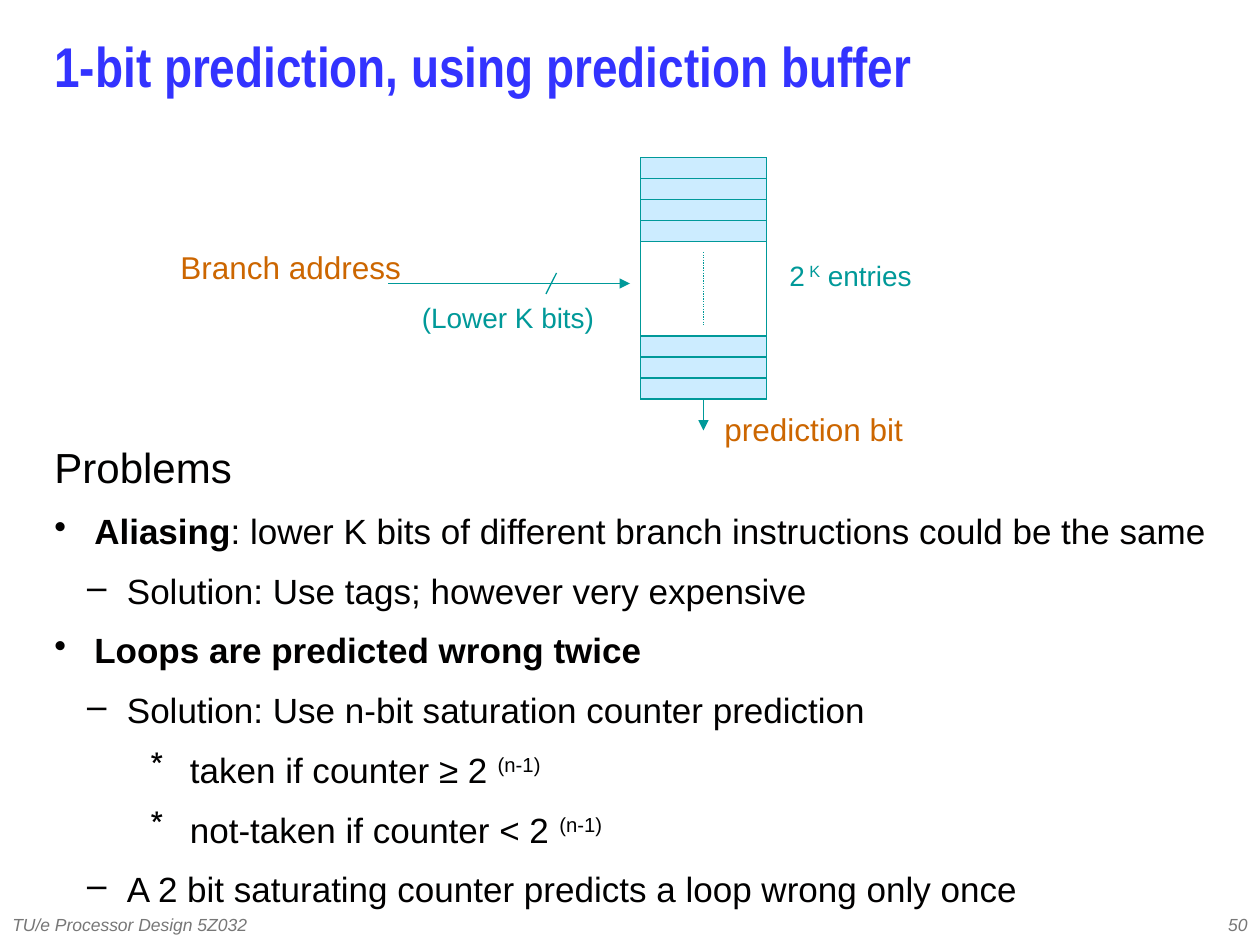
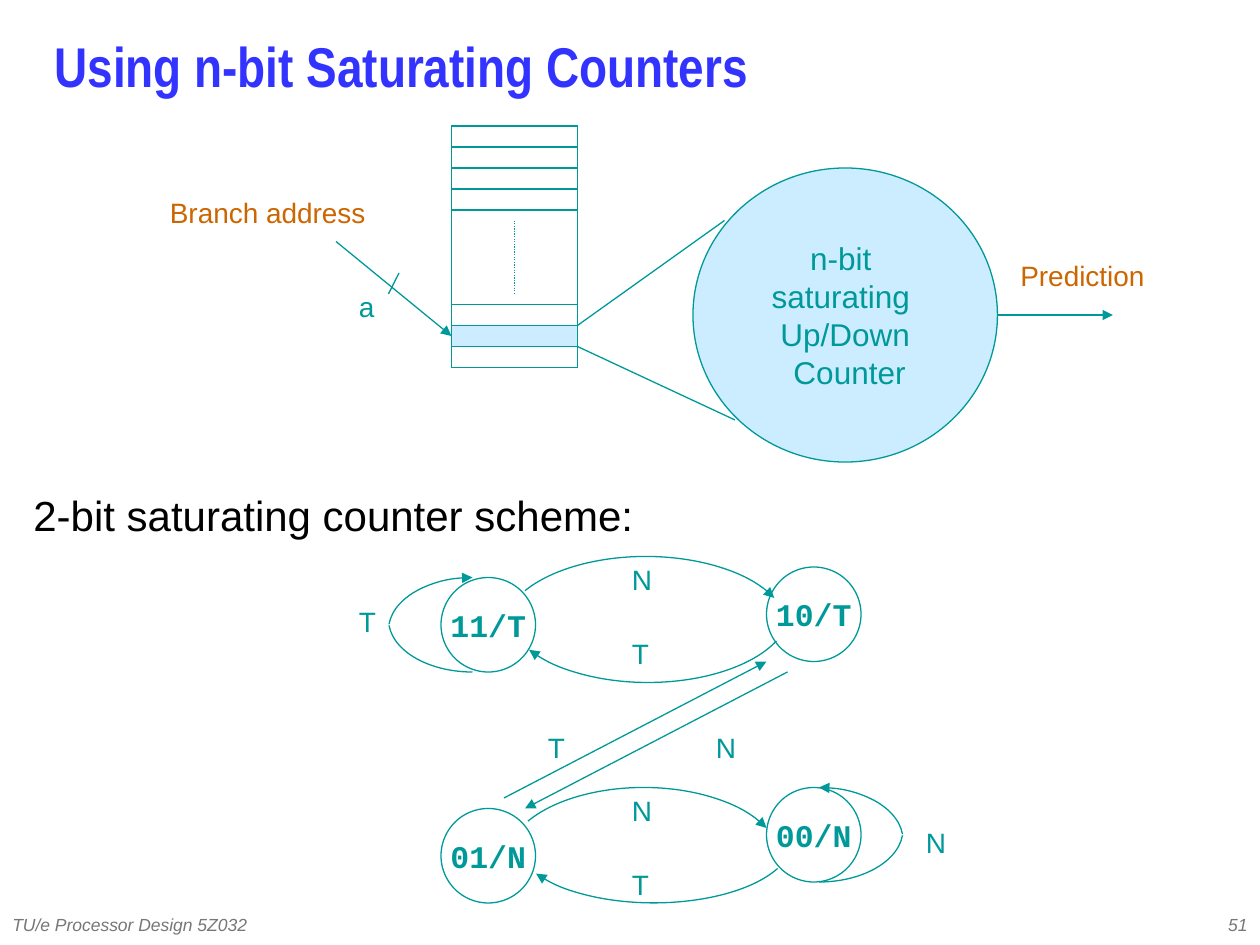
from dataclasses import dataclass
from typing import NamedTuple

import lxml.etree
import pptx
import pptx.dml.color
import pptx.enum.dml
import pptx.enum.shapes
import pptx.enum.text
import pptx.oxml.ns
import pptx.util

EMU_PER_PX = 7620  # 120 px to the inch

ALIGN = pptx.enum.text.PP_ALIGN
ANCHOR = pptx.enum.text.MSO_ANCHOR
SHAPE = pptx.enum.shapes.MSO_SHAPE


@dataclass(frozen=True)
class Theme:
    title: str = "3333FF"
    body: str = "010000"
    diagram: str = "009999"
    accent: str = "CC6600"
    pale: str = "CCECFF"
    footer: str = "777777"
    sans: str = "Arial"
    narrow: str = "Arial Narrow"
    mono: str = "Courier New"
    title_size: int = 32
    heading_size: int = 24
    bullet_size: int = 20
    label_size: int = 18
    small_size: int = 16
    footer_size: int = 10
    line_width: float = 0.75


THEME = Theme()


class Style(NamedTuple):
    size: int
    color: str
    font: str = THEME.sans
    bold: bool = False
    italic: bool = False


TITLE = Style(THEME.title_size, THEME.title, THEME.narrow, bold=True)
HEADING = Style(THEME.heading_size, THEME.body)
BULLET = Style(THEME.bullet_size, THEME.body)
FOOTER = Style(THEME.footer_size, THEME.footer, italic=True)
LABEL = Style(THEME.label_size, THEME.diagram)
SMALL = Style(THEME.small_size, THEME.diagram)
ACCENT_LABEL = Style(THEME.label_size, THEME.accent)
ACCENT_SMALL = Style(THEME.small_size, THEME.accent)
STATE = Style(THEME.label_size, THEME.diagram, THEME.mono, bold=True)


class Box(NamedTuple):
    left: int
    top: int
    width: int
    height: int


class Span(NamedTuple):
    text: str
    bold: bool = False
    raised: bool = False


class Item(NamedTuple):
    level: int
    spans: list[Span]


class Label(NamedTuple):
    text: str
    box: Box
    style: Style = SMALL


class Line(NamedTuple):
    start: tuple[int, int]
    end: tuple[int, int]
    arrow: str = ""  # "headEnd" at the start, "tailEnd" at the end
    dotted: bool = False


class Arc(NamedTuple):
    box: Box
    start_angle: int  # degrees, clockwise from the right
    end_angle: int
    arrow: str = ""


class Level(NamedTuple):
    mark: str
    indent: int


LEVELS = [Level("•", 38), Level("–", 69), Level("*", 129)]
HANG = 38


def px(value: int) -> int:
    return pptx.util.Emu(value * EMU_PER_PX)


def rgb(color: str) -> pptx.dml.color.RGBColor:
    return pptx.dml.color.RGBColor.from_string(color)


def add_child(parent, tag: str, **attributes: str):
    return lxml.etree.SubElement(parent, pptx.oxml.ns.qn(tag), attributes)


# Text

def write_spans(para, spans: list[Span], style: Style) -> None:
    para.text = spans[0].text
    for span in spans[1:]:
        para.add_run().text = span.text
    for run, span in zip(para.runs, spans):
        font = run.font
        font.name, font.size = style.font, pptx.util.Pt(style.size)
        font.bold, font.italic = style.bold or span.bold, style.italic
        font.color.rgb = rgb(style.color)
        if span.raised:
            run._r.get_or_add_rPr().set("baseline", "30000")


def add_text(page, box: Box, spans: list[Span], style: Style,
             anchor=ANCHOR.TOP, align=ALIGN.LEFT):
    frame = page.shapes.add_textbox(*map(px, box)).text_frame
    frame.word_wrap = True
    frame.vertical_anchor = anchor
    para = frame.paragraphs[0]
    write_spans(para, spans, style)
    para.alignment = align
    return frame


def add_labels(page, labels: list[Label]) -> None:
    for label in labels:
        add_text(page, label.box, [Span(label.text)], label.style)


def add_item(frame, item: Item) -> None:
    para = frame.add_paragraph()
    level = LEVELS[item.level]
    props = para._p.get_or_add_pPr()
    props.set("marL", str(px(level.indent)))
    props.set("indent", str(px(-HANG)))
    add_child(add_child(props, "a:buClr"), "a:srgbClr", val=THEME.body)
    add_child(props, "a:buChar", char=level.mark)
    para.level = item.level
    para.line_spacing = 0.9
    para.space_before = pptx.util.Pt(12.5)
    write_spans(para, item.spans, BULLET)


# Shapes and lines

def style_line(shape, arrow: str = "") -> None:
    shape.line.color.rgb = rgb(THEME.diagram)
    shape.line.width = pptx.util.Pt(THEME.line_width)
    if arrow:
        add_child(shape.line._get_or_add_ln(), f"a:{arrow}", type="triangle")


def add_outline(page, kind, box: Box, fill: str = "", arrow: str = ""):
    shape = page.shapes.add_shape(kind, *map(px, box))
    shape.shadow.inherit = False
    if fill:
        shape.fill.solid()
        shape.fill.fore_color.rgb = rgb(fill)
    else:
        shape.fill.background()
    style_line(shape, arrow)
    return shape


def add_circle(page, box: Box, text: str, style: Style, fill: str = "") -> None:
    frame = add_outline(page, SHAPE.OVAL, box, fill).text_frame
    frame.text = text
    frame.word_wrap = False
    frame.vertical_anchor = ANCHOR.MIDDLE
    for para in frame.paragraphs:
        write_spans(para, [Span(para.text)], style)
        para.alignment = ALIGN.CENTER


def add_arc(page, arc: Arc) -> None:
    shape = add_outline(page, SHAPE.ARC, arc.box, arrow=arc.arrow)
    for index, angle in enumerate((arc.start_angle, arc.end_angle)):
        shape.adjustments[index] = angle * 0.6  # 60000 units a degree, over 100000


def add_line(page, line: Line) -> None:
    connector = page.shapes.add_connector(
        pptx.enum.shapes.MSO_CONNECTOR.STRAIGHT, *map(px, line.start + line.end))
    if line.dotted:
        connector.line.dash_style = pptx.enum.dml.MSO_LINE.ROUND_DOT
    style_line(connector, line.arrow)
    add_child(connector._element.spPr, "a:effectLst")


def add_buffer(page, left: int, top: int, filled_rows: set[int]) -> None:
    width, row_height = 120, 20
    offsets = [row_height * row for row in range(4)]
    offsets += [170 + row_height * row for row in range(3)]
    for row, offset in enumerate(offsets):
        fill = THEME.pale if row in filled_rows else ""
        add_outline(page, SHAPE.RECTANGLE, Box(left, top + offset, width, row_height), fill)
    middle = left + width // 2
    add_line(page, Line((middle, top + 90), (middle, top + 160), dotted=True))
    add_outline(page, SHAPE.RECTANGLE, Box(left, top, width, 230))


# Slides

def add_page(deck, title: str, number: int):
    page = deck.slides.add_slide(deck.slide_layouts[6])
    frame = add_text(page, Box(40, 30, 1120, 80), [Span(title)], TITLE, ANCHOR.MIDDLE)
    frame.paragraphs[0].line_spacing = 0.7
    add_text(page, Box(0, 860, 250, 40), [Span("TU/e Processor Design 5Z032")],
             FOOTER, ANCHOR.MIDDLE)
    add_text(page, Box(950, 860, 250, 40), [Span(str(number))],
             FOOTER, ANCHOR.MIDDLE, ALIGN.RIGHT)
    return page


def build_prediction_buffer(deck) -> None:
    page = add_page(deck, "1-bit prediction, using prediction buffer", 50)
    frame = add_text(page, Box(40, 420, 1160, 454), [Span("Problems")], HEADING)
    frame.paragraphs[0].line_spacing = 0.9
    power = Span("(n-1)", raised=True)
    for item in [
        Item(0, [Span("Aliasing", bold=True),
                 Span(": lower K bits of different branch instructions could be the same")]),
        Item(1, [Span("Solution: Use tags; however very expensive")]),
        Item(0, [Span("Loops are predicted wrong twice", bold=True)]),
        Item(1, [Span("Solution: Use n-bit saturation counter prediction")]),
        Item(2, [Span("taken if counter ≥ 2 "), power]),
        Item(2, [Span("not-taken if counter < 2 "), power]),
        Item(1, [Span("A 2 bit saturating counter predicts a loop wrong only once")]),
    ]:
        add_item(frame, item)

    add_buffer(page, 610, 150, set(range(7)))
    for line in [
        Line((370, 270), (600, 270), "tailEnd"),
        Line((530, 260), (520, 280)),
        Line((670, 380), (670, 410), "tailEnd"),
    ]:
        add_line(page, line)
    add_labels(page, [
        Label("Branch address", Box(160, 230, 260, 48), ACCENT_LABEL),
        Label("(Lower K bits)", Box(390, 280, 200, 44)),
        Label("prediction bit", Box(678, 385, 200, 48), ACCENT_LABEL),
    ])
    add_text(page, Box(740, 240, 160, 44),
             [Span("2"), Span(" K", raised=True), Span(" entries")], SMALL)


def build_saturating_counters(deck) -> None:
    page = add_page(deck, "Using n-bit Saturating Counters", 51)

    # Counter selected by the branch address
    add_buffer(page, 430, 120, {5})
    add_circle(page, Box(660, 160, 290, 280),
               "n-bit \nsaturating \nUp/Down\n Counter", LABEL, THEME.pale)
    for line in [
        Line((320, 230), (430, 320), "tailEnd"),
        Line((380, 260), (370, 280)),
        Line((550, 310), (690, 210)),
        Line((550, 330), (700, 400)),
        Line((950, 300), (1060, 300), "tailEnd"),
        # Transitions between the upper and lower states
        Line((480, 760), (730, 630), "tailEnd"),
        Line((500, 770), (750, 640), "headEnd"),
    ]:
        add_line(page, line)

    # State diagram
    for text, left, top in [("11/T", 420, 550), ("10/T", 730, 540),
                            ("00/N", 730, 750), ("01/N", 420, 770)]:
        add_circle(page, Box(left, top, 90, 90), text, STATE)
    for arc in [
        Arc(Box(370, 550, 160, 100), 184, 270, "tailEnd"),
        Arc(Box(370, 540, 160, 100), 90, 176),
        Arc(Box(700, 750, 160, 100), 270, 356, "headEnd"),
        Arc(Box(700, 740, 160, 100), 4, 90),
        Arc(Box(479, 530, 272, 140), 198, 346, "tailEnd"),
        Arc(Box(481, 510, 272, 140), 14, 161, "tailEnd"),
        Arc(Box(482, 750, 262, 140), 199, 345, "tailEnd"),
        Arc(Box(490, 740, 265, 120), 13, 164, "tailEnd"),
    ]:
        add_arc(page, arc)
    add_labels(page, [
        Label("2-bit saturating counter scheme:", Box(20, 460, 600, 60), HEADING),
        Label("Branch address", Box(150, 180, 260, 44), ACCENT_SMALL),
        Label("Prediction", Box(960, 240, 180, 44), ACCENT_SMALL),
        Label("a", Box(330, 270, 40, 44)),
    ])
    add_labels(page, [Label(text, Box(left, top, 50, 44)) for text, left, top in [
        ("N", 590, 530), ("T", 590, 600), ("T", 330, 570), ("T", 510, 690),
        ("N", 670, 690), ("N", 590, 750), ("T", 590, 820), ("N", 870, 780)]])


def main() -> None:
    deck = pptx.Presentation()
    deck.slide_width, deck.slide_height = px(1200), px(900)
    build_prediction_buffer(deck)
    build_saturating_counters(deck)
    deck.save("out.pptx")


if __name__ == "__main__":
    main()
